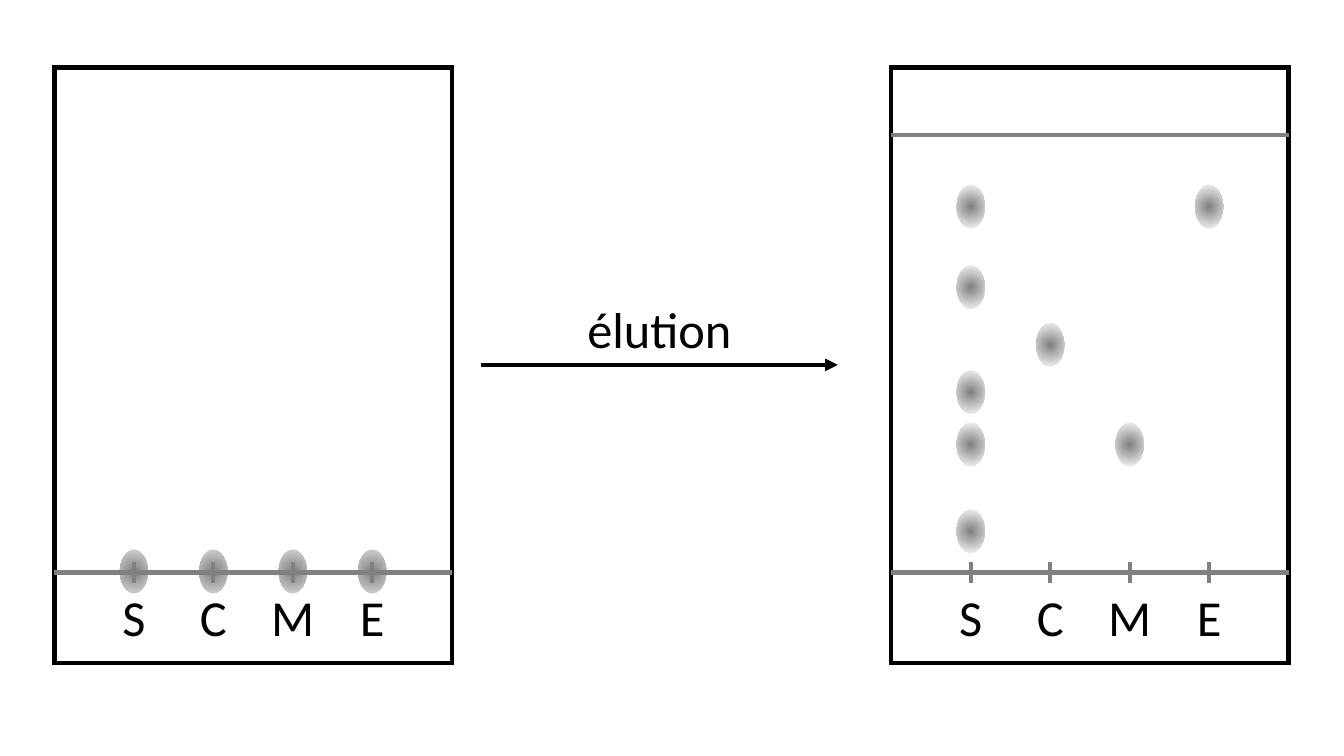
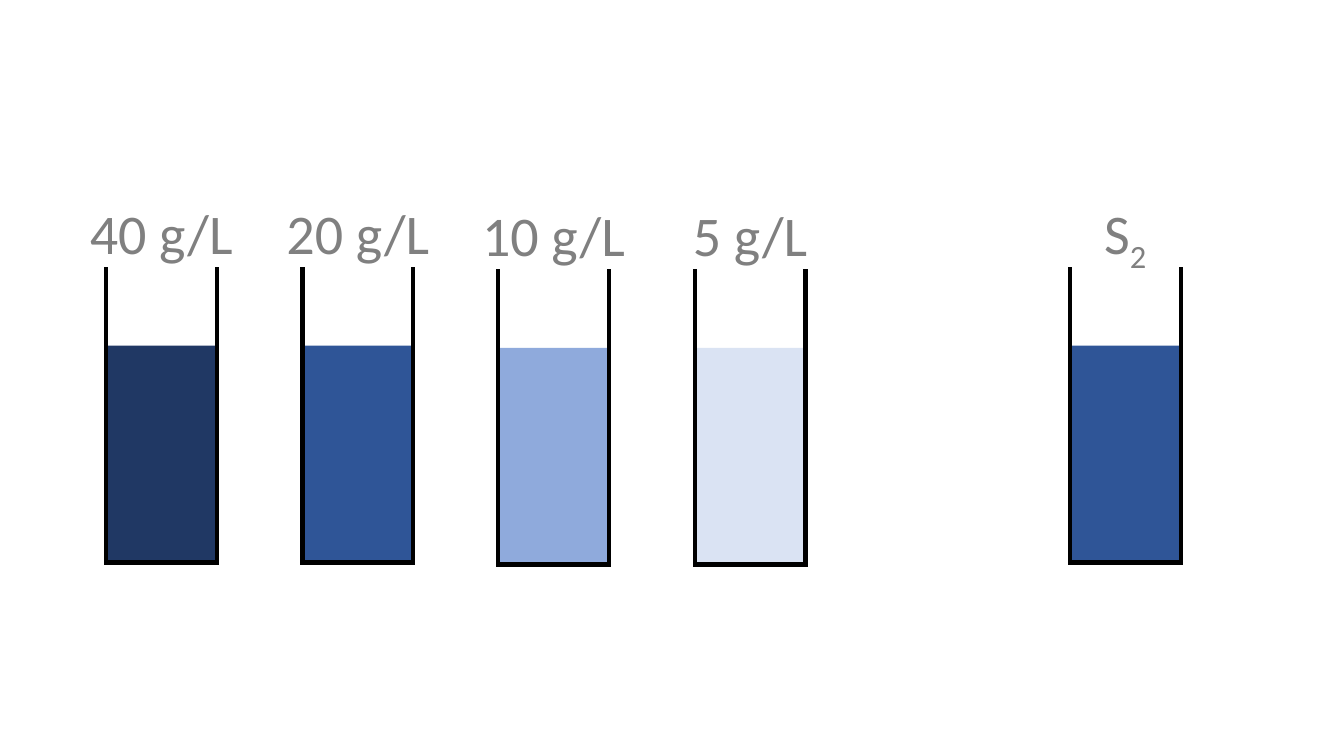
from lxml import etree
from pptx import Presentation
from pptx import util as u
from pptx.dml import color as dml
from pptx.enum import shapes as kinds, text as txt
from pptx.oxml import ns

FONT = "Calibri"
BLACK, GREY, LIGHT_GREY, WHITE = "000000", "808080", "D9D9D9", "FFFFFF"
STROKE = 3

LANES = "SCME"
PLATE_W, PLATE_H = 3.94, 5.91
BASELINE, FRONT = 5.01, 0.67
TICK_H = 0.2
SPOT_W, SPOT_H = 0.28, 0.43
ELUTED = {"S": [1.38, 2.18, 3.22, 3.74, 4.6], "C": [2.75], "M": [3.74], "E": [1.38]}

TUBE_W, TUBE_H = 1.1, 3.28
RIM, LIQUID = 0.35, 1.13
TUBES = [
    (1.05, 2.3, "40 g/L", "", "203864"),
    (3, 2.3, "20 g/L", "", "2F5597"),
    (4.94, 2.32, "10 g/L", "", "8FAADC"),
    (6.89, 2.32, "5 g/L", "", "DAE3F3"),
    (10.61, 2.3, "S", "2", "2F5597"),
]


def rgb(code):
    return dml.RGBColor.from_string(code)


def inches(*lengths):
    return [u.Inches(length) for length in lengths]


def add_xml(parent, tag, **attributes):
    return etree.SubElement(parent, ns.qn(tag), attributes)


def add_label(parts, text, x, y, w, h, size=36, color=BLACK, subscript=""):
    frame = parts.add_textbox(*inches(x, y, w, h)).text_frame
    frame.word_wrap = False
    frame.auto_size = txt.MSO_AUTO_SIZE.SHAPE_TO_FIT_TEXT
    paragraph = frame.paragraphs[0]
    paragraph.alignment = txt.PP_ALIGN.CENTER
    for content in filter(None, (text, subscript)):
        run = paragraph.add_run()
        run.text = content
        run.font.name = FONT
        run.font.size = u.Pt(size)
        run.font.color.rgb = rgb(color)
    if subscript:
        run.font._element.set("baseline", "-25000")


def add_line(parts, x1, y1, x2, y2, color=GREY, arrow=False):
    line = parts.add_connector(kinds.MSO_CONNECTOR.STRAIGHT, *inches(x1, y1, x2, y2))
    line.line.color.rgb = rgb(color)
    line.line.width = u.Pt(STROKE)
    if arrow:
        add_xml(line.line._get_or_add_ln(), "a:tailEnd", type="triangle")
    add_xml(line._element.spPr, "a:effectLst")


def outline(shape):
    shape.shadow.inherit = False
    shape.fill.background()
    shape.line.color.rgb = rgb(BLACK)
    shape.line.width = u.Pt(STROKE)
    add_xml(shape.line._get_or_add_ln(), "a:miter", lim="800000")


def add_spot(parts, center_x, center_y, edge):
    spot = parts.add_shape(
        kinds.MSO_SHAPE.OVAL,
        *inches(center_x - SPOT_W / 2, center_y - SPOT_H / 2, SPOT_W, SPOT_H),
    )
    spot.shadow.inherit = False
    spot.line.fill.background()
    spot.fill.gradient()
    for stop, position, color in zip(spot.fill.gradient_stops, (0, 1), (GREY, edge)):
        stop.position = position
        stop.color.rgb = rgb(color)
    gradient = spot._element.spPr.find(ns.qn("a:gradFill"))
    gradient.remove(gradient.find(ns.qn("a:lin")))
    radial = add_xml(gradient, "a:path", path="circle")
    add_xml(radial, "a:fillToRect", l="50000", t="50000", r="50000", b="50000")


def add_plate(slide, left, top, spots, edge, front=False):
    parts = slide.shapes.add_group_shape().shapes
    pitch = PLATE_W / (len(LANES) + 1)
    lanes = {name: left + pitch * i for i, name in enumerate(LANES, 1)}
    for name, heights in spots.items():
        for height in heights:
            add_spot(parts, lanes[name], top + height, edge)
    outline(parts.add_shape(kinds.MSO_SHAPE.RECTANGLE, *inches(left, top, PLATE_W, PLATE_H)))
    for height in [BASELINE] + [FRONT] * front:
        add_line(parts, left, top + height, left + PLATE_W, top + height)
    base = top + BASELINE
    for name, x in lanes.items():
        add_line(parts, x, base - TICK_H / 2, x, base + TICK_H / 2)
        add_label(parts, name, x - pitch / 2, base + 0.09, pitch, 0.71)


def add_tube(slide, left, top, label, subscript, color):
    parts = slide.shapes.add_group_shape().shapes
    right, bottom = left + TUBE_W, top + TUBE_H
    liquid = parts.add_shape(
        kinds.MSO_SHAPE.RECTANGLE,
        *inches(left, top + LIQUID, TUBE_W, TUBE_H - LIQUID),
    )
    liquid.shadow.inherit = False
    liquid.fill.solid()
    liquid.fill.fore_color.rgb = rgb(color)
    liquid.line.fill.background()
    glass = parts.build_freeform(*inches(left, top + RIM))
    corners = [(left, bottom), (right, bottom), (right, top + RIM)]
    glass.add_line_segments([inches(*corner) for corner in corners], close=False)
    outline(glass.convert_to_shape())
    label_w = 1.63
    add_label(parts, label, left + (TUBE_W - label_w) / 2, top - 0.38, label_w, 0.77,
              size=40, color=GREY, subscript=subscript)


def add_elution_arrow(slide, left, y, width):
    add_line(slide.shapes, left, y, left + width, y, BLACK, arrow=True)
    add_label(slide.shapes, "élution", left, y - 0.71, width, 0.71)


def chromatography_slide(slide):
    add_plate(slide, 0.54, 0.67, {name: [BASELINE - 0.01] for name in LANES}, LIGHT_GREY)
    add_plate(slide, 8.84, 0.67, ELUTED, WHITE, front=True)
    add_elution_arrow(slide, 4.77, 3.62, 3.54)


def color_scale_slide(slide):
    for tube in TUBES:
        add_tube(slide, *tube)


def main():
    deck = Presentation()
    deck.slide_width, deck.slide_height = inches(13.33, 7.5)
    for build in (chromatography_slide, color_scale_slide):
        build(deck.slides.add_slide(deck.slide_layouts[6]))
    deck.save("out.pptx")


if __name__ == "__main__":
    main()
